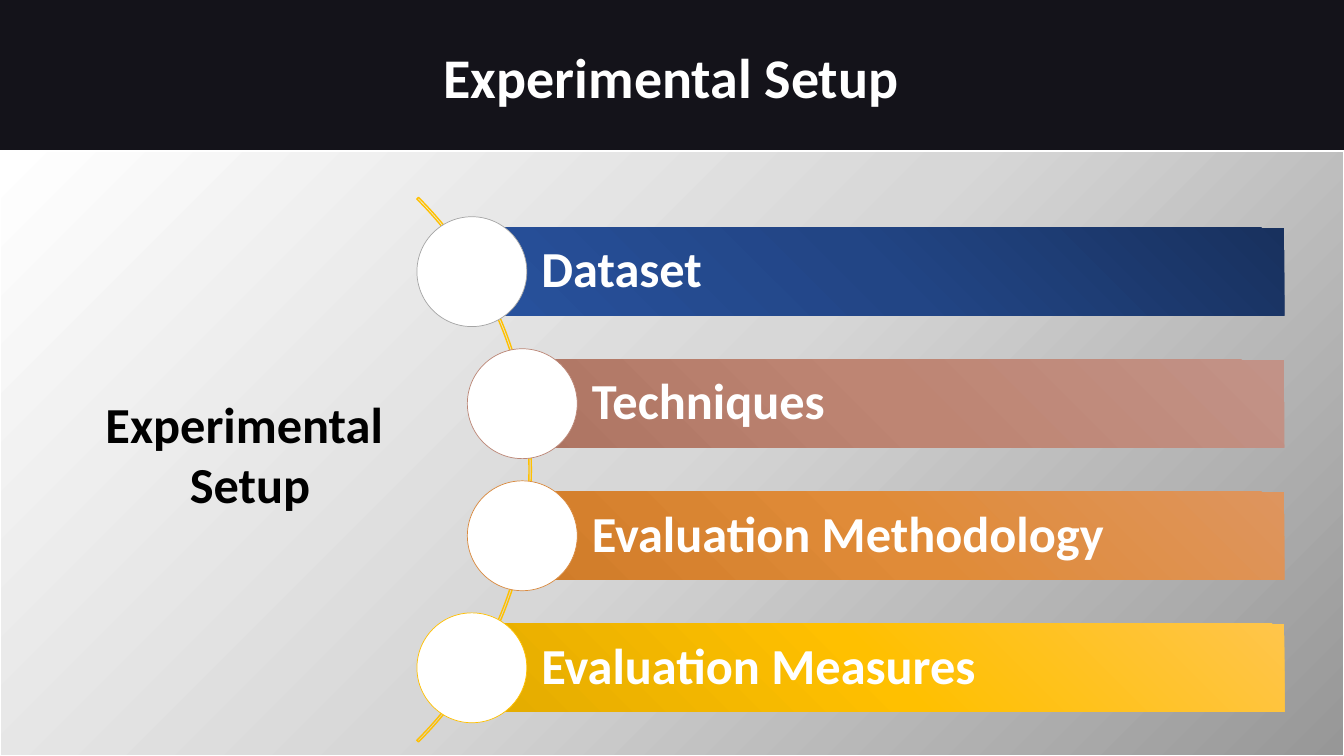
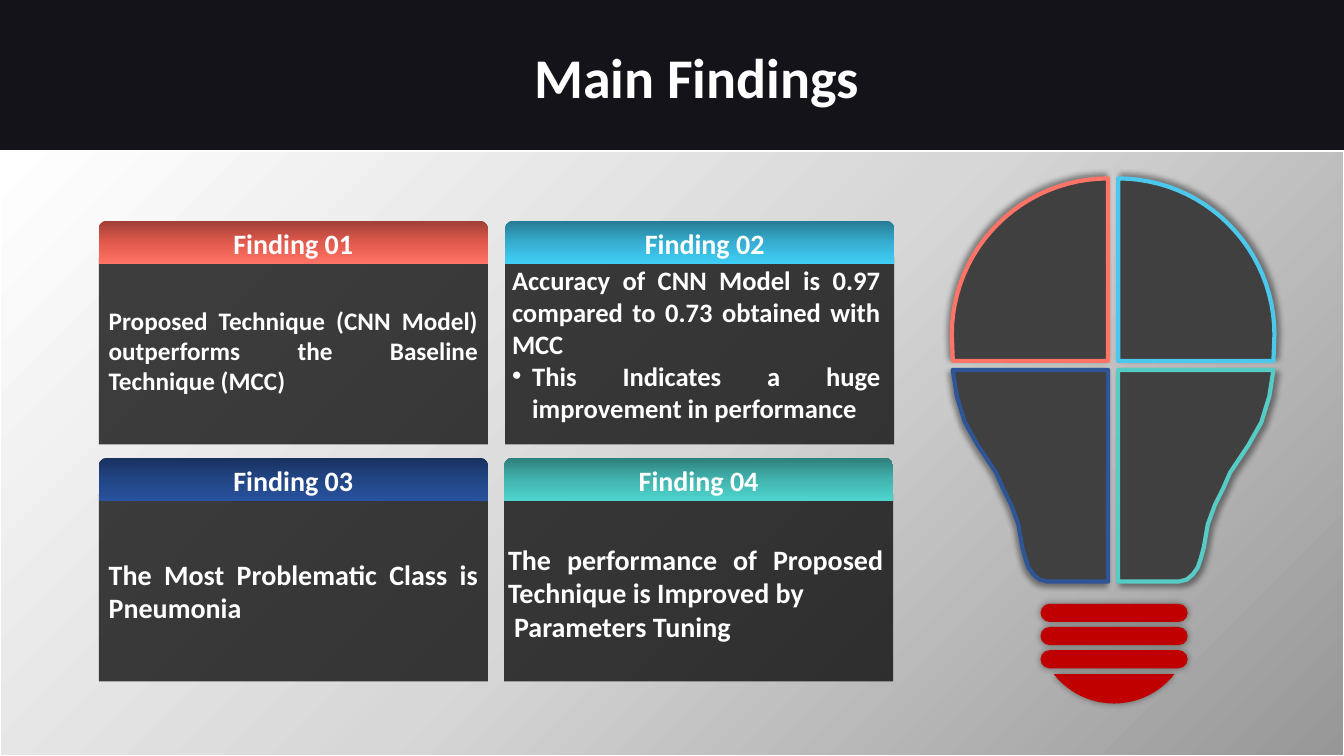
"""Build the experimental setup and main findings slides."""
import math
from dataclasses import dataclass

from lxml import etree
from pptx import Presentation
from pptx.dml.color import RGBColor
from pptx.enum.shapes import MSO_SHAPE
from pptx.enum.text import MSO_ANCHOR, PP_ALIGN
from pptx.oxml import parse_xml
from pptx.oxml.ns import nsdecls, qn
from pptx.shapes.autoshape import Shape
from pptx.slide import Slide
from pptx.text.text import TextFrame
from pptx.util import Inches, Pt

RECT, OVAL, BLOCK_ARC = MSO_SHAPE.RECTANGLE, MSO_SHAPE.OVAL, MSO_SHAPE.BLOCK_ARC
ROUNDED, TOP_ROUNDED = MSO_SHAPE.ROUNDED_RECTANGLE, MSO_SHAPE.ROUND_2_SAME_RECTANGLE
LEFT, CENTER, JUSTIFY = PP_ALIGN.LEFT, PP_ALIGN.CENTER, PP_ALIGN.JUSTIFY
MIDDLE = MSO_ANCHOR.MIDDLE

FONT = "Calibri"
WHITE = RGBColor(0xFF, 0xFF, 0xFF)
BLACK = RGBColor(0, 0, 0)
BACKDROP = RGBColor(0x14, 0x13, 0x1A)
CHARCOAL = RGBColor(0x40, 0x40, 0x40)
RED = RGBColor(0xC0, 0, 0)
GOLD = RGBColor(0xFF, 0xC0, 0)
GRAY = RGBColor(0xA5, 0xA5, 0xA5)
CLAY = RGBColor(0xBB, 0x86, 0x76)
ORANGE = RGBColor(0xD9, 0x8A, 0x3F)
CORAL = RGBColor(0xFF, 0x74, 0x67)
SKY = RGBColor(0x4C, 0xC8, 0xEC)
TEAL = RGBColor(0x57, 0xCC, 0xC6)
NAVY = RGBColor(0x2F, 0x55, 0x97)


def ramp(*stops: str) -> tuple[RGBColor, ...]:
    """Return the colours of a gradient."""
    return tuple(RGBColor.from_string(stop) for stop in stops)


PANEL_RAMP = ramp("979797", "D7D7D7", "FFFFFF")
NAVY_RAMP = ramp("18315E", "224585", "28529E")
CLAY_RAMP = ramp("C29287", "BE8573", "AD7462")
ORANGE_RAMP = ramp("DE955E", "E08B38", "D07C29")
GOLD_RAMP = ramp("FFC54B", "FFC000", "E3AB00")
CORAL_RAMP = ramp("9E3F36", "E15A4D", "FF7467")
SKY_RAMP = ramp("267A93", "36AED1", "40CFF8")
TEAL_RAMP = ramp("2E7E7A", "42B3AE", "4ED5CE")

Point = tuple[float, float]
BULB_AXIS, BULB_GAP = 11.04, 0.05
LOWER_PROFILE: list[Point] = [
    (12.63, 3.67), (12.59, 3.93), (12.51, 4.19), (12.38, 4.42), (12.28, 4.57),
    (12.2, 4.69), (12.13, 4.85), (12.05, 5.01), (11.98, 5.2), (11.94, 5.43),
    (11.91, 5.54), (11.88, 5.63), (11.83, 5.7), (11.77, 5.75), (11.69, 5.77),
]


@dataclass(frozen=True)
class Step:
    """One topic of the setup."""
    label: str
    left: float
    colors: tuple[RGBColor, ...]
    outline: RGBColor


@dataclass(frozen=True)
class Line:
    """One paragraph of a finding."""
    text: str
    indent: float = 0
    bulleted: bool = False


@dataclass(frozen=True)
class Finding:
    """One finding card."""
    title: str
    left: float
    top: float
    colors: tuple[RGBColor, ...]
    body_left: float
    body_top: float
    body_width: float
    size: float
    lines: tuple[Line, ...]
    title_inset: float = 0.1


STEPS = (
    Step("Dataset", 4.68, NAVY_RAMP, GRAY),
    Step("Techniques", 5.18, CLAY_RAMP, CLAY),
    Step("Evaluation Methodology", 5.18, ORANGE_RAMP, ORANGE),
    Step("Evaluation Measures", 4.68, GOLD_RAMP, GOLD),
)
FINDINGS = (
    Finding("Finding 01", 0.98, 2.19, CORAL_RAMP, 0.98, 2.98, 3.86, 18, (
        Line("Proposed Technique (CNN Model) outperforms the Baseline Technique (MCC)"),)),
    Finding("Finding 03", 0.98, 4.54, NAVY_RAMP, 0.98, 5.48, 3.86, 20, (
        Line("The Most Problematic Class is Pneumonia"),)),
    Finding("Finding 02", 5.01, 2.19, SKY_RAMP, 4.98, 2.57, 3.85, 19, (
        Line("Accuracy of CNN Model is 0.97 compared to 0.73 obtained with MCC"),
        Line("This Indicates a huge improvement in performance", 0.2, True)), 0.2),
    Finding("Finding 04", 5, 4.54, TEAL_RAMP, 4.94, 5.33, 3.92, 20, (
        Line("The performance of Proposed Technique is Improved by"),
        Line("Parameters Tuning", 0.06))),
)


def style(shape: Shape, fill: RGBColor | None = None,
          outline: RGBColor | None = None, weight: float = 1) -> Shape:
    """Set the fill and outline, and drop the default shadow."""
    shape.shadow.inherit = False
    if fill is None:
        shape.fill.background()
    else:
        shape.fill.solid()
        shape.fill.fore_color.rgb = fill
    if outline is None:
        shape.line.fill.background()
    else:
        shape.line.color.rgb = outline
        shape.line.width = Pt(weight)
    return shape


def add_preset(slide: Slide, preset: MSO_SHAPE, left: float, top: float,
               width: float, height: float) -> Shape:
    """Add a preset shape placed in inches."""
    return slide.shapes.add_shape(
        preset, Inches(left), Inches(top), Inches(width), Inches(height))


def set_gradient(shape: Shape, colors: tuple[RGBColor, ...], angle: int | None) -> None:
    """Replace a solid fill with a linear gradient, or a corner one without an angle."""
    stops = "".join(
        f'<a:gs pos="{i * 50000}"><a:srgbClr val="{color}"/></a:gs>'
        for i, color in enumerate(colors))
    if angle is None:
        shade = '<a:path path="circle"><a:fillToRect l="100000" t="100000"/></a:path>'
    else:
        shade = f'<a:lin ang="{angle * 60000}" scaled="0"/>'
    solid = shape._element.spPr.find(qn("a:solidFill"))
    solid.getparent().replace(solid, parse_xml(
        f'<a:gradFill {nsdecls("a")} rotWithShape="1"><a:gsLst>{stops}</a:gsLst>'
        f'{shade}</a:gradFill>'))


def set_shadow(shape: Shape, blur: float, distance: float, direction: int) -> None:
    """Give a shape a soft black shadow."""
    effects = shape._element.spPr.find(qn("a:effectLst"))
    effects.append(parse_xml(
        f'<a:outerShdw {nsdecls("a")} blurRad="{Pt(blur)}" dist="{Pt(distance)}" '
        f'dir="{direction * 60000}" algn="ctr" rotWithShape="0"><a:srgbClr val="{BLACK}">'
        '<a:alpha val="40000"/></a:srgbClr></a:outerShdw>'))


def write(frame: TextFrame, lines: tuple[Line, ...], size: float,
          align: PP_ALIGN, color: RGBColor = WHITE) -> None:
    """Write bold paragraphs into a text frame."""
    frame.word_wrap = True
    for i, line in enumerate(lines):
        paragraph = frame.paragraphs[0] if i == 0 else frame.add_paragraph()
        paragraph.alignment = align
        if line.indent:
            properties = paragraph._p.get_or_add_pPr()
            properties.set("marL", str(Inches(line.indent)))
            if line.bulleted:
                properties.set("indent", str(-Inches(line.indent)))
                etree.SubElement(properties, qn("a:buFont")).set("typeface", "Arial")
                etree.SubElement(properties, qn("a:buChar")).set("char", "•")
        run = paragraph.add_run()
        run.text = line.text
        run.font.name, run.font.size, run.font.bold = FONT, Pt(size), True
        run.font.color.rgb = color


def add_text(slide: Slide, left: float, top: float, width: float, height: float,
             lines: tuple[Line, ...], size: float, align: PP_ALIGN,
             color: RGBColor = WHITE) -> None:
    """Add a wrapping text box."""
    box = slide.shapes.add_textbox(
        Inches(left), Inches(top), Inches(width), Inches(height))
    write(box.text_frame, lines, size, align, color)


def add_titled_slide(prs: Presentation, title: str, left: float, width: float) -> Slide:
    """Add a slide with its title and light panel."""
    slide = prs.slides.add_slide(prs.slide_layouts[6])
    panel = style(add_preset(slide, RECT, 0, 1.5, 13.33, 6), WHITE, WHITE)
    set_gradient(panel, PANEL_RAMP, None)
    add_text(slide, left, 0.37, width, 0.77, (Line(title),), 40, CENTER)
    return slide


def add_step(slide: Slide, step: Step, top: float) -> None:
    """Draw a topic bar and the disc at its left end."""
    height, disc = 0.87, 1.09
    bar = style(add_preset(slide, RECT, step.left, top, 12.74 - step.left, height), WHITE)
    set_gradient(bar, step.colors, 135)
    frame = bar.text_frame
    frame.margin_left, frame.vertical_anchor = Inches(0.69), MIDDLE
    write(frame, (Line(step.label),), 36, LEFT)
    frame.paragraphs[0].line_spacing = 0.9
    style(add_preset(slide, OVAL, step.left - disc / 2, top + (height - disc) / 2,
                     disc, disc), WHITE, step.outline, 0.5)


def add_finding(slide: Slide, finding: Finding) -> None:
    """Draw a finding card with its header."""
    width = 3.86
    card = style(add_preset(slide, RECT, finding.left, finding.top + 0.36, width, 1.86), BLACK)
    black = card._element.spPr.find(qn("a:solidFill"))[0]
    etree.SubElement(black, qn("a:alpha")).set("val", "75000")
    add_text(slide, finding.body_left, finding.body_top, finding.body_width, 1,
             finding.lines, finding.size, JUSTIFY)
    header = style(add_preset(slide, TOP_ROUNDED, finding.left, finding.top, width, 0.43), WHITE)
    header.adjustments[0] = 0.19
    set_gradient(header, finding.colors, 90)
    frame = header.text_frame
    frame.margin_left, frame.vertical_anchor = Inches(finding.title_inset), MIDDLE
    write(frame, (Line(finding.title),), 20, CENTER)


def arc(x: float, y: float, radius: float, start: float, end: float) -> list[Point]:
    """Return points along a circle between two angles in degrees."""
    angles = [math.radians(start + (end - start) * i / 24) for i in range(25)]
    return [(x + radius * math.cos(a), y + radius * math.sin(a)) for a in angles]


def add_outline(slide: Slide, points: list[Point]) -> Shape:
    """Add a closed freeform through points in inches."""
    corners = [(Inches(x), Inches(y)) for x, y in points]
    builder = slide.shapes.build_freeform(*corners[0])
    builder.add_line_segments(corners[1:], close=True)
    return builder.convert_to_shape()


def add_bulb(slide: Slide) -> None:
    """Draw the light bulb in four quarters and a red base."""
    inner = BULB_AXIS + BULB_GAP
    upper = arc(inner, 3.32, 1.55, -90, 0) + [(12.63, 3.58), (inner, 3.58)]
    lower = [(inner, 3.67), *LOWER_PROFILE, (inner, 5.77)]
    for points, right, left, turn in ((upper, SKY, CORAL, 315), (lower, TEAL, NAVY, 45)):
        mirrored = [(2 * BULB_AXIS - x, y) for x, y in points]
        for part, color, direction in ((points, right, turn), (mirrored, left, 540 - turn)):
            quarter = style(add_outline(slide, part), CHARCOAL, color, 3)
            set_shadow(quarter, 4, 3, direction % 360)
    base = [add_preset(slide, ROUNDED, 10.32, 5.99 + 0.23 * i, 1.46, 0.18) for i in range(3)]
    for ring in base:
        ring.adjustments[0] = 0.5
    base.append(add_outline(slide, arc(11.05, 6.22, 0.76, 38, 142)))
    for part in base:
        set_shadow(style(part, RED), 5, 0, 0)


def build_setup(prs: Presentation) -> None:
    """Build the experimental setup slide."""
    slide = add_titled_slide(prs, "Experimental Setup", 0, 13.31)
    curve = style(add_preset(slide, BLOCK_ARC, -2.37, 0.84, 7.64, 7.64), None, GOLD)
    for i, value in enumerate((189, 27, 0.003)):
        curve.adjustments[i] = value
    for i, step in enumerate(STEPS):
        add_step(slide, step, 2.26 + 1.31 * i)
    add_text(slide, 0.48, 3.85, 4, 1.3, (Line("Experimental "), Line("Setup")),
             36, CENTER, BLACK)


def build_findings(prs: Presentation) -> None:
    """Build the main findings slide."""
    slide = add_titled_slide(prs, "Main Findings", 0.72, 12.38)
    add_bulb(slide)
    for finding in FINDINGS:
        add_finding(slide, finding)


def main() -> None:
    """Build and save the presentation."""
    prs = Presentation()
    prs.slide_width, prs.slide_height = Inches(13.33), Inches(7.5)
    backdrop = prs.slide_master.background.fill
    backdrop.solid()
    backdrop.fore_color.rgb = BACKDROP
    build_setup(prs)
    build_findings(prs)
    prs.save("out.pptx")


if __name__ == "__main__":
    main()
